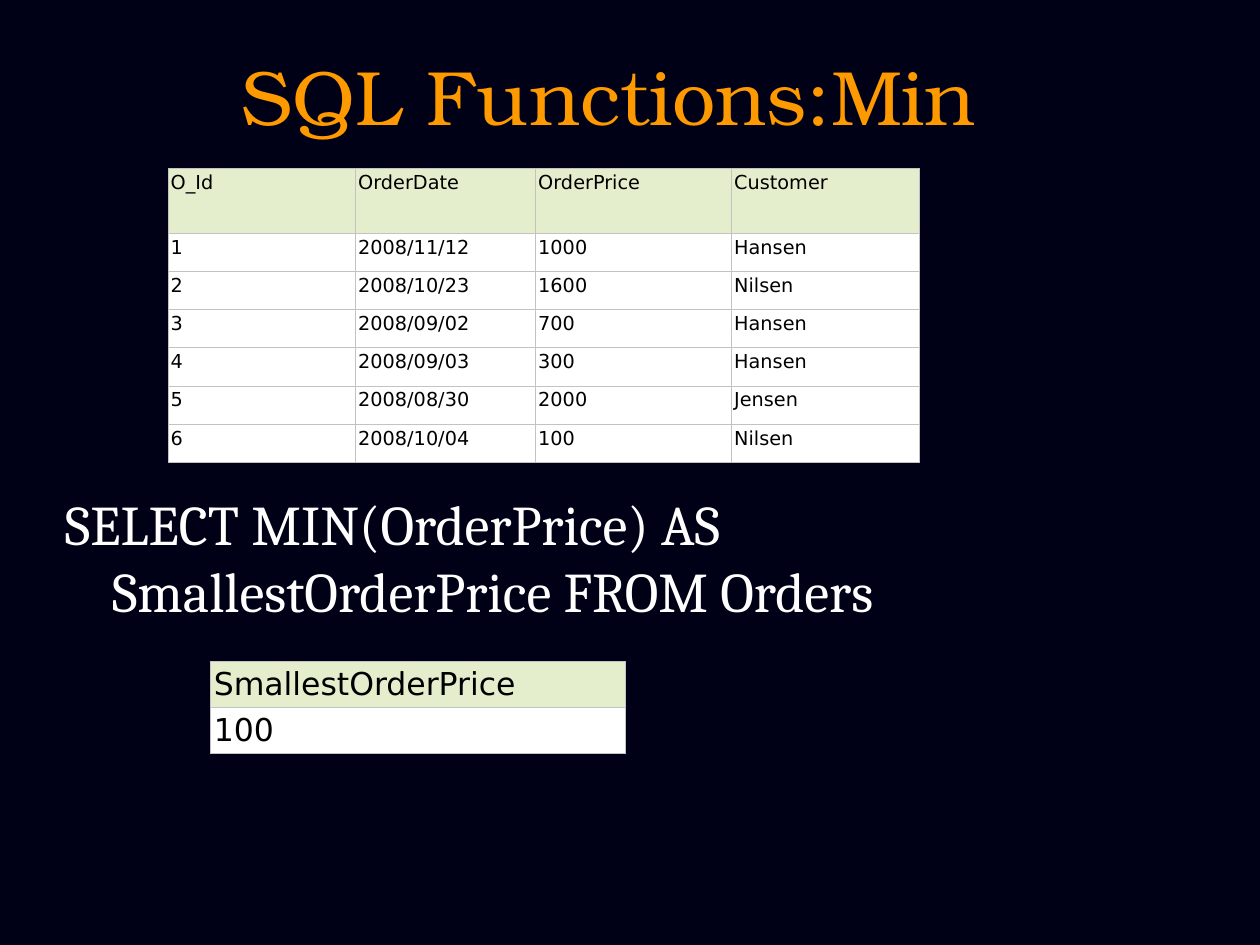
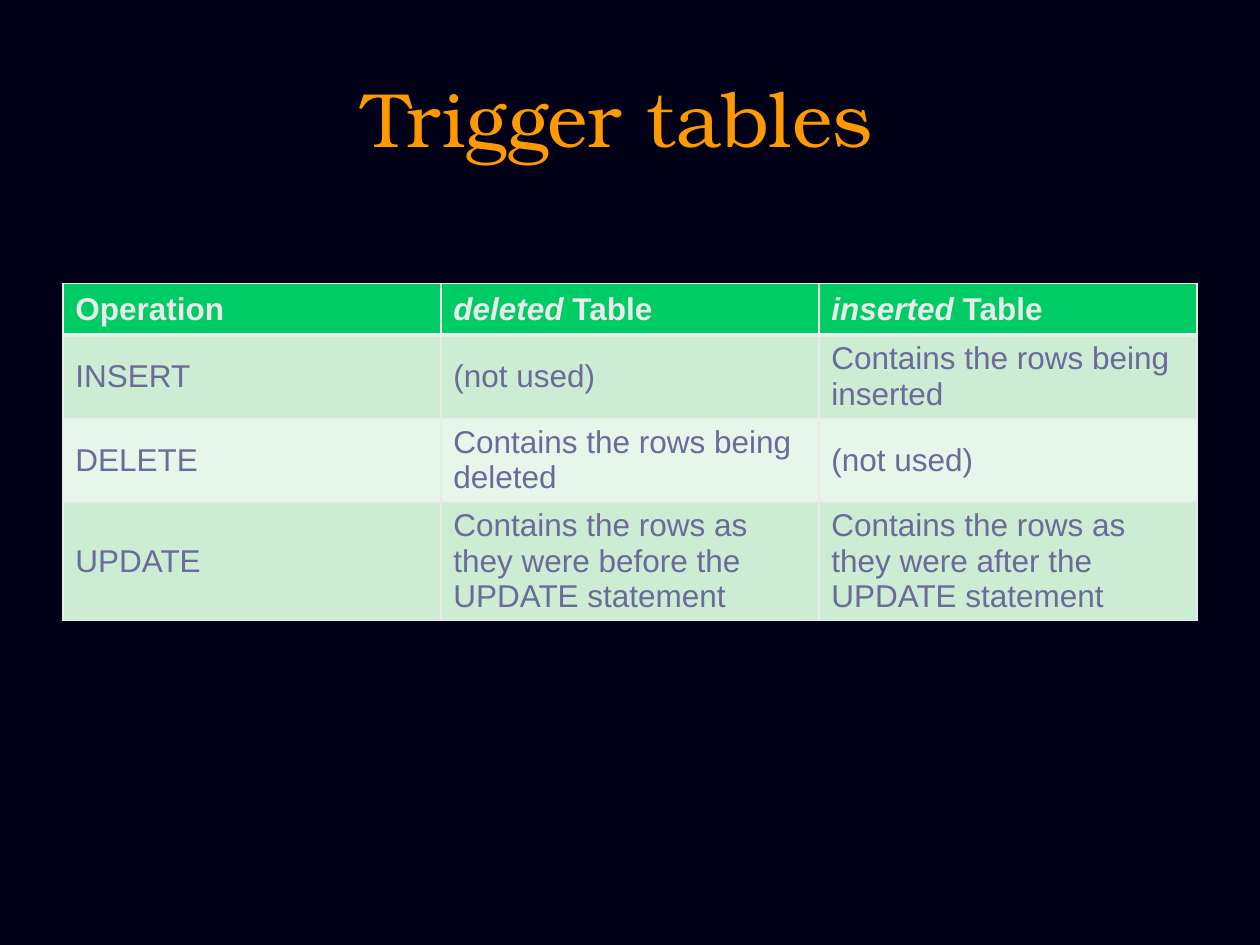
from dataclasses import dataclass
from typing import Optional

from lxml.etree import SubElement as add_element
from pptx import Presentation
from pptx.dml.color import RGBColor
from pptx.enum.text import MSO_ANCHOR as Anchor, MSO_AUTO_SIZE as AutoSize, PP_ALIGN as Align
from pptx.oxml.ns import qn
from pptx.presentation import Presentation as Deck
from pptx.slide import Slide
from pptx.table import _Cell as Cell
from pptx.text.text import Font
from pptx.util import Cm, Pt

TITLE_ONLY = 5


@dataclass(frozen=True)
class Theme:
    background: str = "000016"
    title_color: str = "FF9900"
    title_font: str = "TeX Gyre Bonum"
    title_size: float = 44
    body_color: str = "FFFFFF"
    body_font: str = "Cambria"
    body_size: float = 32


@dataclass(frozen=True)
class TableStyle:
    font: str
    size: float
    header_color: str
    text_color: str
    header_fill: str
    row_fills: tuple[str, ...]
    border_color: str
    border_width: float
    header_rule: float
    margins: tuple[float, float, float, float]
    anchor: Anchor = Anchor.TOP
    line_spacing: Optional[float] = None
    bold_header: bool = False


@dataclass(frozen=True)
class Place:
    left: float
    top: float
    width: float
    height: float

    def lengths(self) -> tuple[Cm, Cm, Cm, Cm]:
        return Cm(self.left), Cm(self.top), Cm(self.width), Cm(self.height)


@dataclass(frozen=True)
class TableSpec:
    left: float
    top: float
    columns: tuple[float, ...]
    heights: tuple[float, ...]
    rows: tuple[tuple[str, ...], ...]
    style: TableStyle


def query_style(size: float, margins: tuple[float, float, float, float]) -> TableStyle:
    return TableStyle(
        font="DejaVu Sans", size=size, header_color="000000", text_color="000000",
        header_fill="E5EECC", row_fills=("FFFFFF",), border_color="C3C3C3",
        border_width=0.34, header_rule=0.34, margins=margins, line_spacing=0.94,
    )


THEME = Theme()
TRIGGER_STYLE = TableStyle(
    font="Arial", size=18, header_color="EAEAEA", text_color="6B6B99",
    header_fill="00CC66", row_fills=("CCECD3", "E7F6EA"), border_color="EAEAEA",
    border_width=1, header_rule=3, margins=(0.25, 0.13, 0.25, 0.13),
    anchor=Anchor.MIDDLE, bold_header=True,
)
ORDERS = TableSpec(
    left=3.39, top=3.39,
    columns=(3.78, 3.63, 3.95, 3.78),
    heights=(1.31,) + (0.77,) * 6,
    rows=(
        ("O_Id", "OrderDate", "OrderPrice", "Customer"),
        ("1", "2008/11/12", "1000", "Hansen"),
        ("2", "2008/10/23", "1600", "Nilsen"),
        ("3", "2008/09/02", "700", "Hansen"),
        ("4", "2008/09/03", "300", "Hansen"),
        ("5", "2008/08/30", "2000", "Jensen"),
        ("6", "2008/10/04", "100", "Nilsen"),
    ),
    style=query_style(11, (0.05, 0.08, 0.05, 0.05)),
)
SMALLEST_PRICE = TableSpec(
    left=4.23, top=13.33, columns=(8.37,), heights=(0.93, 0.93),
    rows=(("SmallestOrderPrice",), ("100",)),
    style=query_style(18, (0.08, 0.13, 0.08, 0.08)),
)
TRIGGER_TABLES = TableSpec(
    left=1.27, top=5.72,
    columns=(7.62,) * 3,
    heights=(1.03, 1.67, 1.67, 2.38),
    rows=(
        ("Operation", "*deleted* Table", "*inserted* Table"),
        ("INSERT", "(not used)", "Contains the rows being inserted"),
        ("DELETE", "Contains the rows being deleted", "(not used)"),
        ("UPDATE", "Contains the rows as they were before the UPDATE statement",
         "Contains the rows as they were after the UPDATE statement"),
    ),
    style=TRIGGER_STYLE,
)


def format_font(font: Font, name: str, size: float, color: str,
                bold: bool = False, italic: bool = False) -> None:
    font.name = name
    font.size = Pt(size)
    font.bold = bold
    font.italic = italic
    font.color.rgb = RGBColor.from_string(color)


def add_page(deck: Deck, title: str, place: Place) -> Slide:
    page = deck.slides.add_slide(deck.slide_layouts[TITLE_ONLY])
    box = page.shapes.title
    box.left, box.top, box.width, box.height = place.lengths()
    frame = box.text_frame
    frame.text = title
    frame.auto_size = AutoSize.NONE
    frame.vertical_anchor = Anchor.MIDDLE
    para = frame.paragraphs[0]
    para.alignment = Align.CENTER
    format_font(para.runs[0].font, THEME.title_font, THEME.title_size, THEME.title_color)
    return page


def add_statement(page: Slide, text: str, place: Place, hanging: float) -> None:
    frame = page.shapes.add_textbox(*place.lengths()).text_frame
    frame.word_wrap = True
    frame.text = text
    para = frame.paragraphs[0]
    properties = para._p.get_or_add_pPr()
    properties.set("marL", str(Cm(hanging)))
    properties.set("indent", str(-Cm(hanging)))
    format_font(para.runs[0].font, THEME.body_font, THEME.body_size, THEME.body_color)


def add_borders(cell: Cell, color: str, widths: dict[str, float]) -> None:
    properties = cell._tc.get_or_add_tcPr()
    for side, width in widths.items():
        line = add_element(properties, qn(f"a:ln{side}"), w=str(Pt(width)))
        add_element(add_element(line, qn("a:solidFill")), qn("a:srgbClr"), val=color)


def fill_cell(cell: Cell, text: str, row: int, style: TableStyle) -> None:
    header = row == 0
    widths = dict.fromkeys("LRTB", style.border_width)
    if row < 2:
        widths["B" if header else "T"] = style.header_rule
    add_borders(cell, style.border_color, widths)
    fill = style.header_fill if header else style.row_fills[(row - 1) % len(style.row_fills)]
    cell.fill.solid()
    cell.fill.fore_color.rgb = RGBColor.from_string(fill)
    cell.margin_left, cell.margin_top, cell.margin_right, cell.margin_bottom = map(Cm, style.margins)
    cell.vertical_anchor = style.anchor
    para = cell.text_frame.paragraphs[0]
    if style.line_spacing:
        para.line_spacing = style.line_spacing
    for index, part in enumerate(text.split("*")):
        if part:
            span = para.add_run()
            span.text = part
            format_font(span.font, style.font, style.size,
                        style.header_color if header else style.text_color,
                        bold=header and style.bold_header, italic=index % 2 == 1)


def add_data_table(page: Slide, spec: TableSpec) -> None:
    place = Place(spec.left, spec.top, sum(spec.columns), sum(spec.heights))
    table = page.shapes.add_table(len(spec.rows), len(spec.columns), *place.lengths()).table
    table.horz_banding = False
    for column, width in zip(table.columns, spec.columns):
        column.width = Cm(width)
    for row, height in zip(table.rows, spec.heights):
        row.height = Cm(height)
    for row, texts in enumerate(spec.rows):
        for column, text in enumerate(texts):
            fill_cell(table.cell(row, column), text, row, spec.style)


def main() -> None:
    deck = Presentation()
    deck.slide_width, deck.slide_height = Cm(25.4), Cm(19.05)
    backdrop = deck.slide_master.background.fill
    backdrop.solid()
    backdrop.fore_color.rgb = RGBColor.from_string(THEME.background)

    min_page = add_page(deck, "SQL Functions:Min", Place(1.9, 0.64, 20.75, 2.54))
    add_statement(min_page, "SELECT MIN(OrderPrice) AS SmallestOrderPrice FROM Orders",
                  Place(1.06, 9.74, 22.65, 2.96), hanging=0.95)
    add_data_table(min_page, ORDERS)
    add_data_table(min_page, SMALLEST_PRICE)

    trigger_page = add_page(deck, "Trigger tables ", Place(1.27, 0.76, 22.86, 3.18))
    add_data_table(trigger_page, TRIGGER_TABLES)

    deck.save("out.pptx")


if __name__ == "__main__":
    main()
